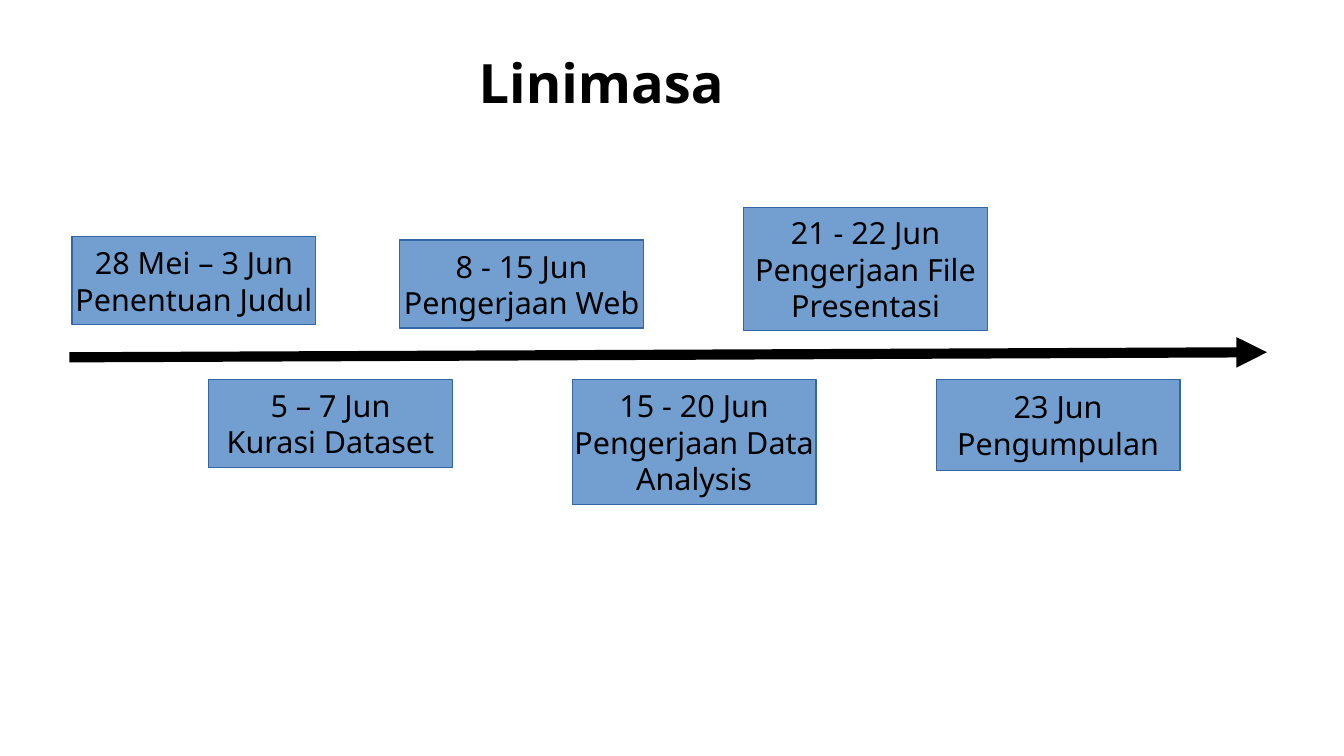
from dataclasses import dataclass

from lxml.etree import SubElement
from pptx import Presentation
from pptx.dml.color import RGBColor
from pptx.enum.shapes import MSO_CONNECTOR, MSO_SHAPE
from pptx.enum.text import MSO_ANCHOR, PP_ALIGN
from pptx.oxml.ns import qn
from pptx.util import Pt


@dataclass(frozen=True)
class Theme:
    font: str = "Noto Sans"
    ink: RGBColor = RGBColor(0x00, 0x00, 0x00)
    box_fill: RGBColor = RGBColor(0x72, 0x9F, 0xCF)
    box_line: RGBColor = RGBColor(0x34, 0x65, 0xA4)
    title_size: Pt = Pt(32)
    body_size: Pt = Pt(18)


theme = Theme()


def write_lines(frame, lines, size, bold=False):
    frame.text = "\n".join(lines)
    frame.vertical_anchor = MSO_ANCHOR.MIDDLE
    for para in frame.paragraphs:
        para.alignment = PP_ALIGN.CENTER
        para.font.name = theme.font
        para.font.size = size
        para.font.bold = bold
        para.font.color.rgb = theme.ink


# Deck and page
deck = Presentation()
deck.slide_width, deck.slide_height = Pt(793.44), Pt(446.4)
page = deck.slides.add_slide(deck.slide_layouts[5])

# Title
title = page.shapes.title
title.left, title.top, title.width, title.height = Pt(252.7), Pt(16.6), Pt(204.5), Pt(63.4)
frame = title.text_frame
frame.margin_left = frame.margin_right = frame.margin_top = frame.margin_bottom = 0
write_lines(frame, ["Linimasa"], theme.title_size, bold=True)

# Time arrow
arrow = page.shapes.add_connector(
    MSO_CONNECTOR.STRAIGHT, Pt(41), Pt(211), Pt(748), Pt(208)
)
arrow.line.color.rgb = theme.ink
arrow.line.width = Pt(6)
SubElement(arrow.line._get_or_add_ln(), qn("a:tailEnd"), type="triangle")
SubElement(arrow._element.spPr, qn("a:effectLst"))

# Milestones: left, top, height, lines
box_width = 144
lower_top = 223.9
milestones = [
    (42.5, 139.7, 52, ["28 Mei – 3 Jun", "Penentuan Judul"]),
    (123.1, lower_top, 52, ["5 – 7 Jun", "Kurasi Dataset"]),
    (236, 141.8, 52, ["8 - 15 Jun", "Pengerjaan Web"]),
    (337.8, lower_top, 74.2, ["15 - 20 Jun", "Pengerjaan Data", "Analysis"]),
    (439, 122.4, 72.7, ["21 - 22 Jun", "Pengerjaan File", "Presentasi"]),
    (552.7, lower_top, 54, ["23 Jun", "Pengumpulan"]),
]
for left, top, height, lines in milestones:
    box = page.shapes.add_shape(
        MSO_SHAPE.RECTANGLE, Pt(left), Pt(top), Pt(box_width), Pt(height)
    )
    box.shadow.inherit = False
    box.fill.solid()
    box.fill.fore_color.rgb = theme.box_fill
    box.line.color.rgb = theme.box_line
    box.line.width = Pt(0)
    box.text_frame.word_wrap = False
    write_lines(box.text_frame, lines, theme.body_size)

deck.save("out.pptx")
